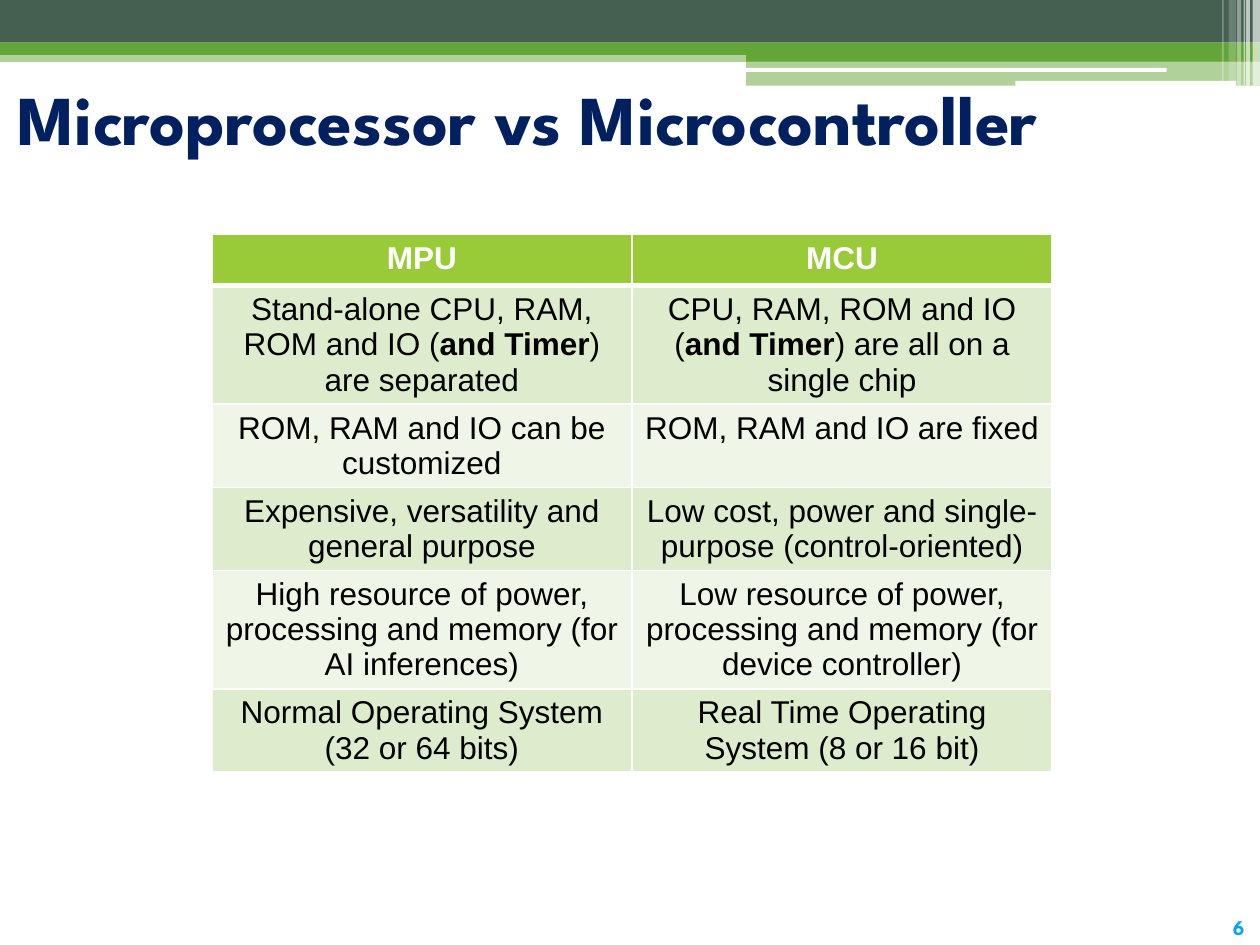
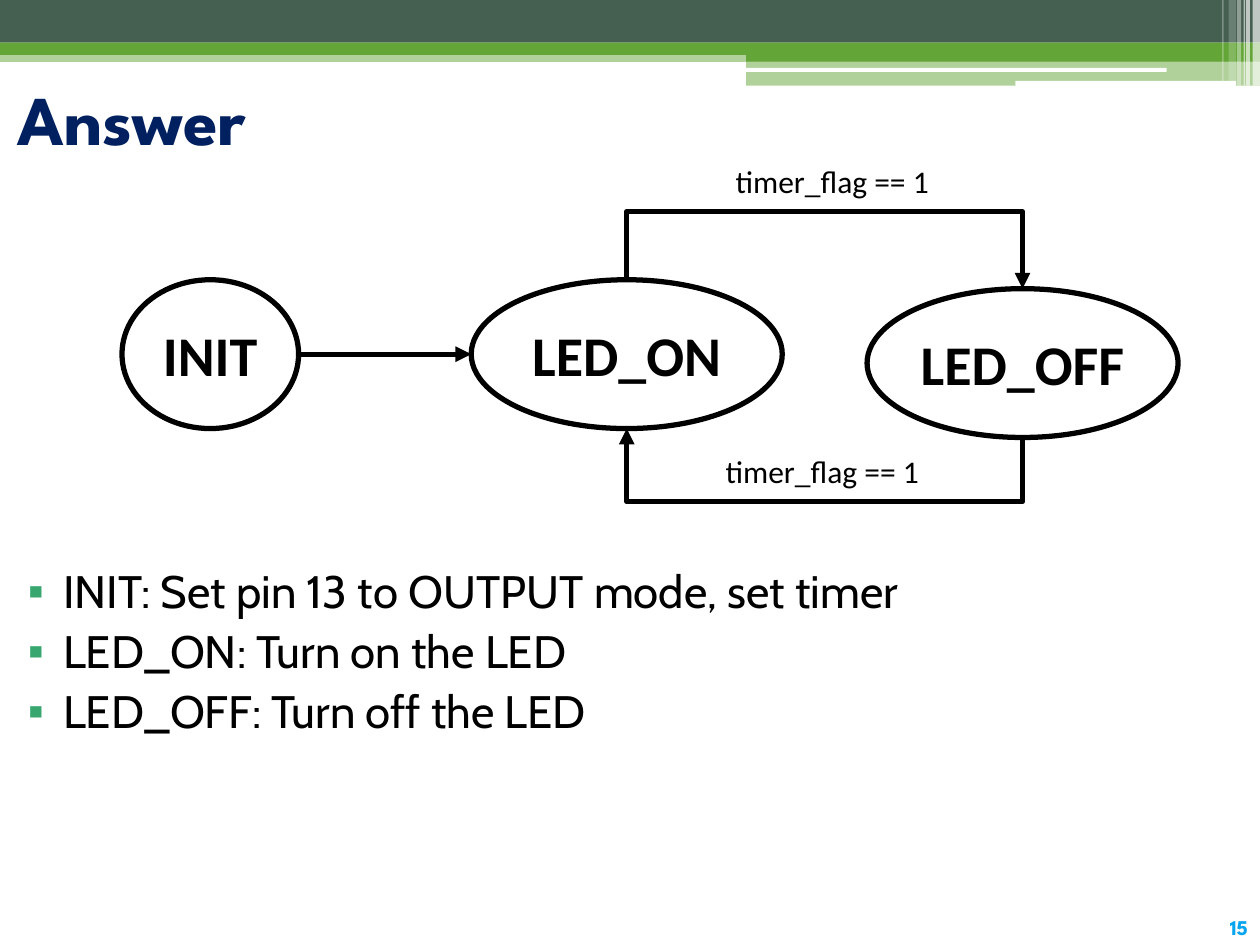
from dataclasses import dataclass
from typing import NamedTuple

from lxml.etree import SubElement
from pptx import Presentation
from pptx.dml.color import RGBColor
from pptx.enum.shapes import MSO_CONNECTOR, MSO_SHAPE
from pptx.enum.text import MSO_ANCHOR, MSO_AUTO_SIZE, PP_ALIGN
from pptx.oxml.ns import qn
from pptx.util import Cm, Pt

# Palette and fonts
DARK, GREEN, LIME = "455F51", "63A537", "99CB38"
TINT, PALE, WHITE, BLACK = "DDECCC", "EFF6E7", "FFFFFF", "000000"
NAVY, SKY, MINT = "002060", "08A5EF", "37A76F"
HEAD, LIST, CELL, NOTE = "League Spartan", "Cabin", "Arial", "Calibri"
WIDE = 25.4
LEFT, MID = PP_ALIGN.LEFT, PP_ALIGN.CENTER


class Box(NamedTuple):
    x: float
    y: float
    w: float
    h: float

    def cm(self) -> list:
        return [Cm(v) for v in self]


class Type(NamedTuple):
    font: str
    size: float
    hue: str = BLACK
    bold: bool = False


class Run(NamedTuple):
    text: str
    bold: bool = False


@dataclass
class Band:
    box: Box
    hue: str
    alpha: int = 100
    form: MSO_SHAPE = MSO_SHAPE.RECTANGLE


@dataclass
class State:
    name: str
    box: Box
    pad: float = 0.25

    @property
    def mid(self) -> float:
        return self.box.x + self.box.w / 2

    @property
    def base(self) -> float:
        return self.box.y + self.box.h


ROUND = MSO_SHAPE.ROUNDED_RECTANGLE
BANDS = [
    Band(Box(0, 1.02, WIDE, 0.23), GREEN, 50),
    Band(Box(0, 0, WIDE, 0.86), DARK),
    Band(Box(0, 0.86, WIDE, 0.25), GREEN),
    Band(Box(15.04, 0.99, 10.36, 0.25), GREEN),
    Band(Box(15.04, 1.22, 10.36, 0.51), GREEN, 50),
    Band(Box(15.01, 1.37, 8.51, 0.08), WHITE, form=ROUND),
    Band(Box(20.47, 1.63, 4.45, 0.1), WHITE, form=ROUND),
] + [
    Band(Box(x, 0, w, h), WHITE, alpha)
    for x, w, h, alpha in [
        (25.25, 0.15, 1.73, 65), (25.12, 0.08, 1.73, 65), (25.07, 0.03, 1.73, 60),
        (24.94, 0.08, 1.73, 40), (24.77, 0.15, 1.63, 20), (24.64, 0.03, 1.63, 30),
    ]
]

TIMER = Run("and Timer", True)
ROWS = [
    ([Run("MPU", True)], [Run("MCU", True)]),
    ([Run("Stand-alone CPU, RAM, ROM and IO ("), TIMER, Run(") are separated")],
     [Run("CPU, RAM, ROM and IO ("), TIMER, Run(") are all on a single chip")]),
    ([Run("ROM, RAM and IO can be customized")], [Run("ROM, RAM and IO are fixed")]),
    ([Run("Expensive, versatility and general purpose")],
     [Run("Low cost, power and single-purpose (control-oriented)")]),
    ([Run("High resource of power, processing and memory (for AI inferences)")],
     [Run("Low resource of power, processing and memory (for device controller)")]),
    ([Run("Normal Operating System (32 or 64 bits)")],
     [Run("Real Time Operating System (8 or 16 bit)")]),
]
ITEMS = [
    "INIT: Set pin 13 to OUTPUT mode, set timer",
    "LED_ON: Turn on the LED",
    "LED_OFF: Turn off the LED",
]


def tone(code: str) -> RGBColor:
    return RGBColor.from_string(code)


def paint(fill, code: str) -> None:
    fill.solid()
    fill.fore_color.rgb = tone(code)


def write(para, runs: list[Run], kind: Type, align=LEFT) -> None:
    para.alignment = align
    for part in runs:
        run = para.add_run()
        run.text = part.text
        font = run.font
        font.name, font.size = kind.font, Pt(kind.size)
        font.bold = kind.bold or part.bold
        font.color.rgb = tone(kind.hue)


def place(shape, box: Box) -> None:
    shape.left, shape.top, shape.width, shape.height = box.cm()


def label(slide, box: Box, text: str, kind: Type, align=LEFT) -> None:
    frame = slide.shapes.add_textbox(*box.cm()).text_frame
    frame.word_wrap = True
    frame.auto_size = MSO_AUTO_SIZE.SHAPE_TO_FIT_TEXT
    write(frame.paragraphs[0], [Run(text)], kind, align)


def band(slide, part: Band) -> None:
    shape = slide.shapes.add_shape(part.form, *part.box.cm())
    shape.shadow.inherit = False
    shape.line.fill.background()
    paint(shape.fill, part.hue)
    if part.alpha < 100:
        hue = shape.element.spPr.find(".//" + qn("a:srgbClr"))
        SubElement(hue, qn("a:alpha"), val=str(part.alpha * 1000))


def start(deck, layout: int, title: str, page: int):
    """Add a slide with the shared bands, title and page number."""
    slide = deck.slides.add_slide(deck.slide_layouts[layout])
    for part in BANDS:
        band(slide, part)
    label(slide, Box(24.49, 18.31, 0.97, 0.76), str(page), Type(HEAD, 12, SKY, True), MID)
    head = slide.shapes.title
    place(head, Box(0.1, 1.32, 25.02, 2.08))
    frame = head.text_frame
    frame.auto_size = MSO_AUTO_SIZE.NONE
    frame.vertical_anchor = MSO_ANCHOR.MIDDLE
    write(frame.paragraphs[0], [Run(title)], Type(HEAD, 40, NAVY, True))
    slide.shapes.element.append(head.element)  # in front of the bands
    return slide


def edge(cell, thick: dict[str, float]) -> None:
    props = cell._tc.get_or_add_tcPr()
    for spot, (side, size) in enumerate(thick.items()):
        line = SubElement(props, qn("a:" + side), w=str(Pt(size)))
        fill = SubElement(line, qn("a:solidFill"))
        SubElement(fill, qn("a:srgbClr"), val=WHITE)
        props.insert(spot, line)  # borders come before the fill


def grid(slide) -> None:
    wide, high = 8.47, 1.04
    box = Box(4.27, 4.72, 2 * wide, high * len(ROWS))
    table = slide.shapes.add_table(len(ROWS), 2, *box.cm()).table
    for r, row in enumerate(ROWS):
        top = r == 0
        back = LIME if top else TINT if r % 2 else PALE
        for c, runs in enumerate(row):
            cell = table.cell(r, c)
            paint(cell.fill, back)
            edge(cell, {"lnL": 1, "lnR": 1, "lnT": 3 if r == 1 else 1, "lnB": 3 if top else 1})
            write(cell.text_frame.paragraphs[0], runs,
                  Type(CELL, 18, WHITE if top else BLACK), MID)


def bullets(slide) -> None:
    body = slide.placeholders[1]
    place(body, Box(0, 11.23, 25.02, 5.38))
    frame = body.text_frame
    frame.auto_size = MSO_AUTO_SIZE.NONE
    for i, item in enumerate(ITEMS):
        para = frame.paragraphs[0] if i == 0 else frame.add_paragraph()
        para.space_before = Pt(3 if i else 0)
        props = para._p.get_or_add_pPr()
        props.set("marL", str(Cm(1.02)))
        props.set("indent", str(Cm(-0.71)))
        hue = SubElement(props, qn("a:buClr"))
        SubElement(hue, qn("a:srgbClr"), val=MINT)
        SubElement(props, qn("a:buFont"), typeface=CELL)
        SubElement(props, qn("a:buChar"), char="▪")
        write(para, [Run(item)], Type(LIST, 26))
    slide.shapes.element.append(body.element)


def oval(slide, state: State) -> None:
    shape = slide.shapes.add_shape(MSO_SHAPE.OVAL, *state.box.cm())
    shape.shadow.inherit = False
    shape.fill.background()
    shape.line.color.rgb = tone(BLACK)
    shape.line.width = Pt(3)
    frame = shape.text_frame
    frame.word_wrap = True
    frame.vertical_anchor = MSO_ANCHOR.MIDDLE
    frame.margin_left = frame.margin_right = Cm(state.pad)
    write(frame.paragraphs[0], [Run(state.name)], Type(NOTE, 32, bold=True), MID)


def arrow(slide, kind, x1: float, y1: float, x2: float, y2: float):
    link = slide.shapes.add_connector(kind, Cm(x1), Cm(y1), Cm(x2), Cm(y2))
    link.line.color.rgb = tone(BLACK)
    link.line.width = Pt(3)
    SubElement(link.line._get_or_add_ln(), qn("a:tailEnd"), type="triangle")
    SubElement(link.element.spPr, qn("a:effectLst"))
    return link


def loop(slide, x1: float, y1: float, x2: float, y2: float, bend: float) -> None:
    """Draw an elbow arrow that leaves and arrives upright, turning at height bend."""
    mx, my = (x1 + x2) / 2, (y1 + y2) / 2
    dx, dy = abs(x2 - x1) / 2, abs(y2 - y1) / 2
    link = arrow(slide, MSO_CONNECTOR.ELBOW, mx + dy, my - dx, mx - dy, my + dx)
    turn = 270 if x2 > x1 else 90
    props = link.element.spPr
    props.find(qn("a:xfrm")).set("rot", str(turn * 60000))
    shape = props.find(qn("a:prstGeom"))
    guides = shape.find(qn("a:avLst"))
    if guides is None:
        guides = SubElement(shape, qn("a:avLst"))
    ratio = round((bend - y1) / (y2 - y1) * 100000)
    SubElement(guides, qn("a:gd"), name="adj1", fmla=f"val {ratio}")


def chart(slide) -> None:
    """Draw the state diagram."""
    init = State("INIT", Box(2.46, 5.64, 3.56, 3))
    on = State("LED_ON", Box(9.5, 5.64, 6.27, 3))
    off = State("LED_OFF", Box(17.48, 5.82, 6.27, 3), 0)
    for state in (init, on, off):
        oval(slide, state)
    level = init.box.y + init.box.h / 2
    arrow(slide, MSO_CONNECTOR.STRAIGHT, init.box.x + init.box.w, level, on.box.x, level)
    loop(slide, on.mid, on.box.y, off.mid, off.box.y, 4.27)
    loop(slide, off.mid, off.base, on.mid, on.base, 10.11)
    for x, y in ((14.58, 3.15), (14.38, 8.99)):
        label(slide, Box(x, y, 4.47, 1.02), "timer_flag == 1", Type(NOTE, 18))


def main() -> None:
    deck = Presentation()
    deck.slide_width, deck.slide_height = Cm(WIDE), Cm(19.05)
    # Comparison table
    grid(start(deck, 5, "Microprocessor vs Microcontroller", 6))
    # State machine
    slide = start(deck, 1, "Answer", 15)
    bullets(slide)
    chart(slide)
    deck.save("out.pptx")


if __name__ == "__main__":
    main()
